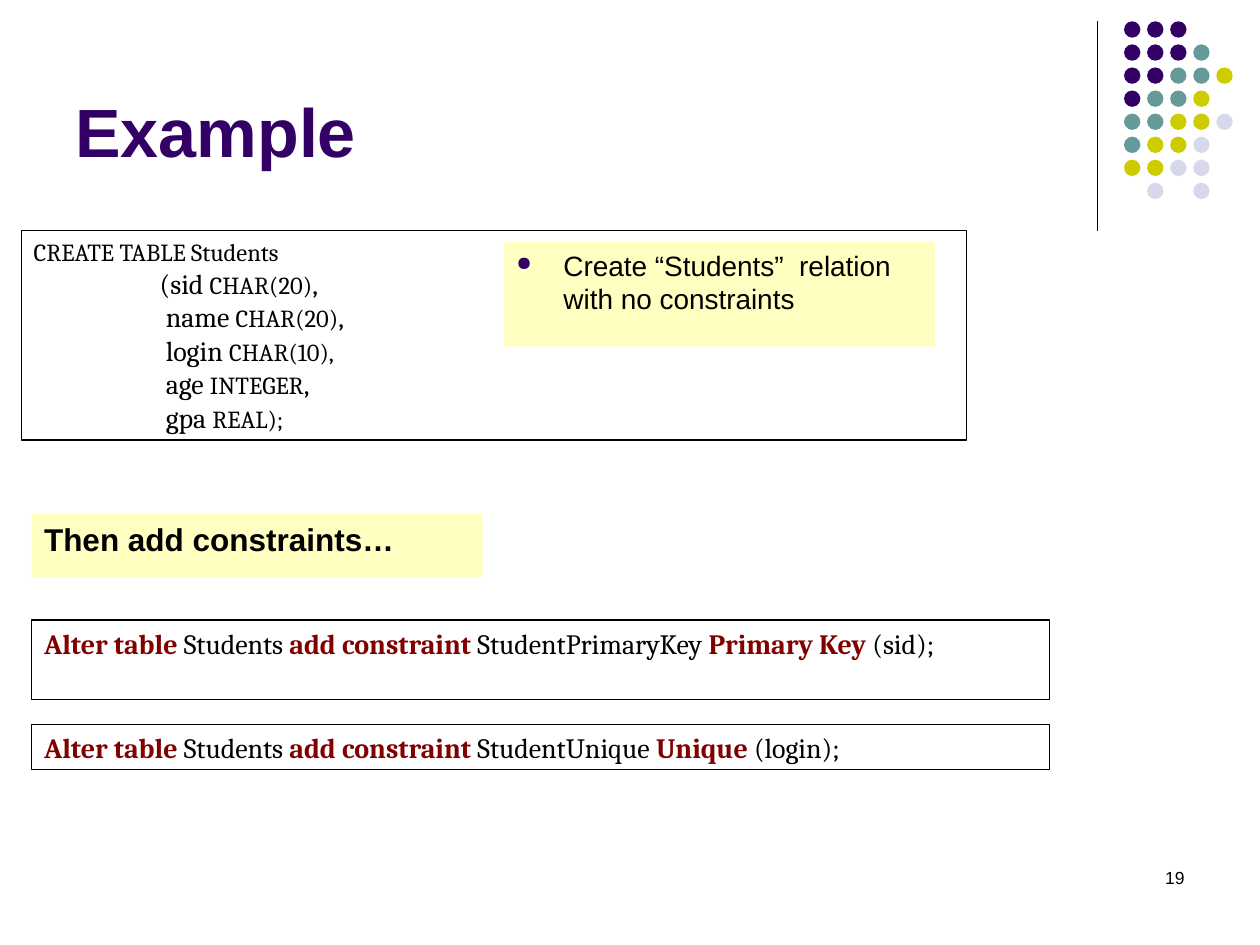
from typing import NamedTuple, Optional

from lxml.etree import SubElement
from pptx import Presentation
from pptx.dml.color import RGBColor
from pptx.enum.shapes import MSO_CONNECTOR as CONN, MSO_SHAPE as SHAPE
from pptx.enum.text import MSO_ANCHOR as ANCHOR, PP_ALIGN as ALIGN
from pptx.oxml.ns import qn
from pptx.util import Cm, Pt

BLACK = RGBColor(0x00, 0x00, 0x00)
PURPLE = RGBColor(0x33, 0x00, 0x66)
TEAL = RGBColor(0x66, 0x99, 0x99)
OLIVE = RGBColor(0xCC, 0xCC, 0x00)
LAVENDER = RGBColor(0xD8, 0xD8, 0xEC)
CREAM = RGBColor(0xFF, 0xFF, 0xC2)
MAROON = RGBColor(0x80, 0x00, 0x00)

# Dot pattern, one letter per colour
DOT_COLORS = {"P": PURPLE, "T": TEAL, "O": OLIVE, "L": LAVENDER}
DOT_ROWS = ["PPP", "PPPT", "PPTTO", "PTTO", "TTOOL", "TOOL", "OOLL", " L L"]
DOT_LEFT, DOT_TOP, DOT_PITCH, DOT_SIZE = 22.66, 0.43, 0.465, 0.33


class Box(NamedTuple):
    """Position and size in centimetres."""
    left: float
    top: float
    width: float
    height: float


class Span(NamedTuple):
    text: str
    size: float = 16
    color: RGBColor = BLACK
    bold: bool = False
    font: str = "Cambria"


Line = list[Span]


class Panel(NamedTuple):
    box: Box
    lines: list[Line]
    fill: Optional[RGBColor] = None
    border: bool = False


def column(name: str, kind: str, end: str = "") -> Line:
    """One column of the table definition, with smaller type names."""
    spans = [Span(f"\t{name} "), Span(kind, 14)]
    return spans + [Span(end)] if end else spans


def alter(name: str, kind: str, field: str) -> Line:
    """One statement with its keywords in bold."""
    return [Span("Alter table ", color=MAROON, bold=True), Span("Students "),
            Span("add constraint ", color=MAROON, bold=True), Span(f"{name} "),
            Span(f"{kind} ", color=MAROON, bold=True), Span(f"({field});")]


CODE = Panel(Box(0.43, 4.65, 19.05, 4.22), [
    [Span("CREATE TABLE Students", 14)],
    column("(sid", "CHAR(20)", ","),
    column(" name", "CHAR(20)", ","),
    column(" login", "CHAR(10),"),
    column(" age", "INTEGER", ","),
    column(" gpa", "REAL);"),
], border=True)
NOTE = Panel(Box(10.16, 4.88, 8.69, 2.11), [
    [Span("Create “Students”  relation with no constraints", font="Arial")]], CREAM)
PRIMARY_KEY = Panel(Box(0.64, 12.5, 20.52, 1.6),
                    [alter("StudentPrimaryKey", "Primary Key", "sid")], border=True)
UNIQUE = Panel(Box(0.64, 14.61, 20.52, 0.91),
               [alter("StudentUnique", "Unique", "login")], border=True)
THEN = Panel(Box(0.64, 10.36, 9.09, 1.27),
             [[Span("Then add constraints…", 18, bold=True, font="Arial")]], CREAM)
TITLE = Panel(Box(1.27, 0.33, 20.96, 3.25),
              [[Span("Example", 39, PURPLE, True, "Arial")]])
PAGE = Panel(Box(18.21, 17.35, 5.92, 1.27), [[Span("19", 10, font="Arial")]])


def write(tf, lines: list[Line]) -> None:
    tf.word_wrap = True
    for i, spans in enumerate(lines):
        p = tf.paragraphs[0] if i == 0 else tf.add_paragraph()
        p.alignment = ALIGN.LEFT
        if spans[0].text.startswith("\t"):
            tabs = SubElement(p._p.get_or_add_pPr(), qn("a:tabLst"))
            SubElement(tabs, qn("a:tab"), pos=str(Cm(2.54)), algn="l")
        for span in spans:
            r = p.add_run()
            r.text = span.text
            r.font.size = Pt(span.size)
            r.font.name = span.font
            r.font.bold = span.bold
            r.font.color.rgb = span.color


def add_panel(s, panel: Panel):
    sp = s.shapes.add_shape(SHAPE.RECTANGLE, *map(Cm, panel.box))
    sp.shadow.inherit = False
    if panel.fill is None:
        sp.fill.background()
    else:
        sp.fill.solid()
        sp.fill.fore_color.rgb = panel.fill
    if panel.border:
        sp.line.color.rgb = BLACK
        sp.line.width = Pt(0.75)
    else:
        sp.line.fill.background()
    sp.text_frame.vertical_anchor = ANCHOR.TOP
    write(sp.text_frame, panel.lines)
    return sp


def add_label(s, panel: Panel):
    sp = s.shapes.add_textbox(*map(Cm, panel.box))
    write(sp.text_frame, panel.lines)
    return sp


def add_bullet(p, color: RGBColor, indent: Cm) -> None:
    pPr = p._p.get_or_add_pPr()
    pPr.set("marL", str(indent))
    pPr.set("indent", str(-indent))
    SubElement(SubElement(pPr, qn("a:buClr")), qn("a:srgbClr"), val=str(color))
    SubElement(pPr, qn("a:buSzPct"), val="70000")
    SubElement(pPr, qn("a:buChar"), char="●")


def add_dots(s) -> None:
    for row, letters in enumerate(DOT_ROWS):
        for col, letter in enumerate(letters):
            if letter == " ":
                continue
            dot = s.shapes.add_shape(
                SHAPE.OVAL, Cm(DOT_LEFT + col * DOT_PITCH),
                Cm(DOT_TOP + row * DOT_PITCH), Cm(DOT_SIZE), Cm(DOT_SIZE))
            dot.shadow.inherit = False
            dot.fill.solid()
            dot.fill.fore_color.rgb = DOT_COLORS[letter]
            dot.line.fill.background()


def main() -> None:
    prs = Presentation()
    prs.slide_width, prs.slide_height = Cm(25.4), Cm(19.05)
    s = prs.slides.add_slide(prs.slide_layouts[6])

    # Corner decoration
    rule = s.shapes.add_connector(CONN.STRAIGHT, Cm(22.12), Cm(0.43), Cm(22.12), Cm(4.65))
    rule.line.color.rgb = BLACK
    rule.line.width = Pt(0.75)
    SubElement(rule._element.spPr, qn("a:effectLst"))
    add_dots(s)

    # Title and page number
    add_label(s, TITLE).text_frame.vertical_anchor = ANCHOR.BOTTOM
    add_label(s, PAGE).text_frame.paragraphs[0].alignment = ALIGN.RIGHT

    # Table definition with its note
    add_panel(s, CODE)
    note = add_panel(s, NOTE)
    add_bullet(note.text_frame.paragraphs[0], PURPLE, Cm(0.95))

    # Constraints
    for panel in (PRIMARY_KEY, UNIQUE, THEN):
        add_panel(s, panel)

    prs.save("out.pptx")


if __name__ == "__main__":
    main()
